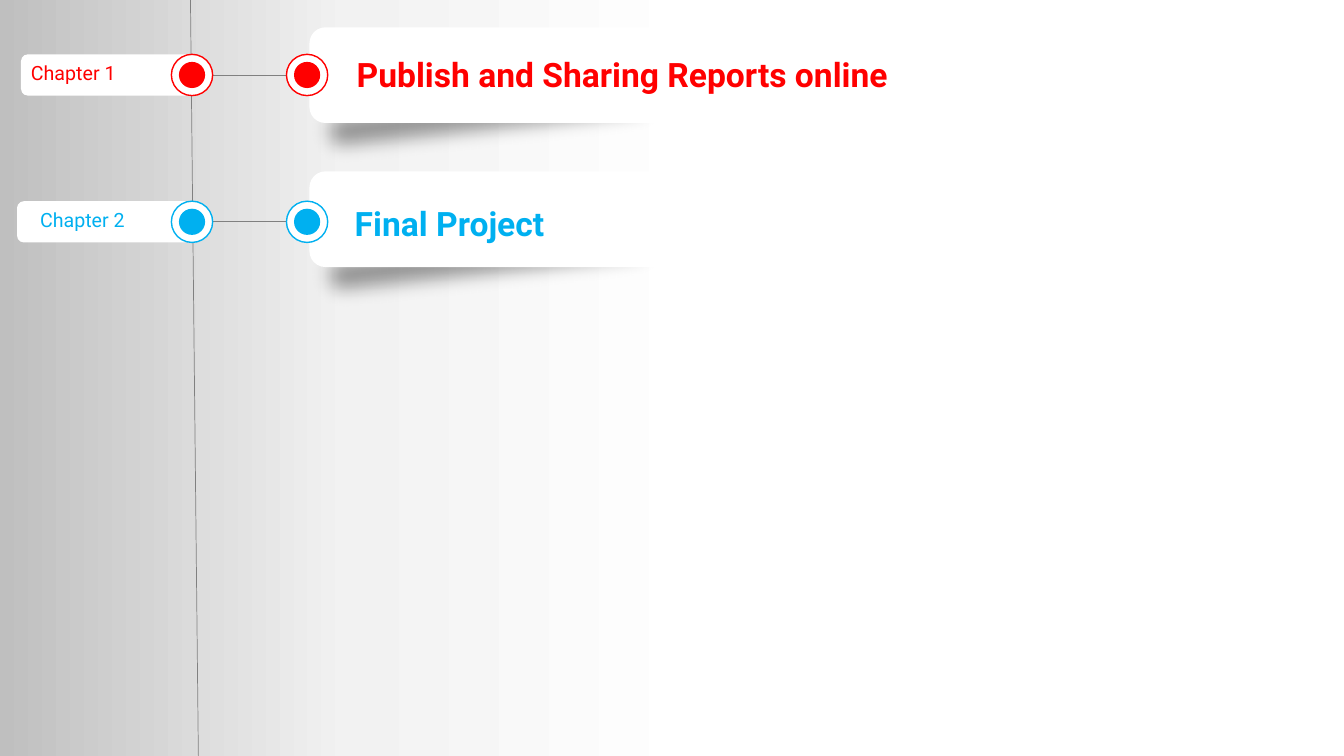
import pptx
import pptx.dml.color
import pptx.enum.shapes
import pptx.enum.text
import pptx.oxml
import pptx.oxml.ns
import pptx.util
from lxml import etree

Cm = pptx.util.Cm
Pt = pptx.util.Pt
RGB = pptx.dml.color.RGBColor.from_string
SHAPE = pptx.enum.shapes.MSO_SHAPE
qn = pptx.oxml.ns.qn

COLORS = {
    "red": "FF0000", "blue": "00B0F0", "white": "FFFFFF",
    "black": "000000", "line": "808080", "pale": "F2F2F2", "gray": "BFBFBF",
}
CHAPTERS = [
    dict(label="Chapter 1", title="Publish and Sharing Reports online", color="red",
         center=1.89, card_top=0.69, label_left=0.53, label_text=(0.53, 3.25),
         title_box=(8.74, 1.24, 15.37)),
    dict(label="Chapter 2", title="Final Project", color="blue",
         center=5.59, card_top=4.32, label_left=0.43, label_text=(0.76, 2.9),
         title_box=(8.69, 5.0, 13.67)),
]
SPINE_X, CARD_X = 4.84, 7.74  # centres of the two columns of dots
RING, DOT = 1.04, 0.66
CARD_LEFT, CARD_HEIGHT = 7.8, 2.41


def add_shape(parent, kind, left, top, width, height, fill, line=None):
    shape = parent.shapes.add_shape(kind, Cm(left), Cm(top), Cm(width), Cm(height))
    shape.shadow.inherit = False
    shape.fill.solid()
    shape.fill.fore_color.rgb = RGB(COLORS[fill])
    if line:
        shape.line.color.rgb = RGB(COLORS[line])
        shape.line.width = Pt(1)
    else:
        shape.line.fill.background()
    return shape


def add_text(parent, text, left, top, width, height, size, color, bold=False):
    box = parent.shapes.add_textbox(Cm(left), Cm(top), Cm(width), Cm(height))
    box.text_frame.word_wrap = True
    box.text_frame.auto_size = pptx.enum.text.MSO_AUTO_SIZE.SHAPE_TO_FIT_TEXT
    paragraph = box.text_frame.paragraphs[0]
    run = paragraph.add_run()
    run.text = text
    run.font.name = "Roboto"
    run.font.size = Pt(size)
    run.font.bold = bold
    run.font.color.rgb = RGB(COLORS[color])


presentation = pptx.Presentation()
presentation.slide_width = Cm(33.87)
presentation.slide_height = Cm(19.05)
slide = presentation.slides.add_slide(presentation.slide_layouts[6])

# Background gradient, gray on the left
background = slide.background.fill
background.gradient()
background.gradient_angle = 180
stops = slide._element.find(".//" + qn("a:gsLst"))
for stop in list(stops):
    stops.remove(stop)
for position, name in [(48, "white"), (74, "pale"), (100, "gray")]:
    stop = etree.SubElement(stops, qn("a:gs"), pos=str(position * 1000))
    etree.SubElement(stop, qn("a:srgbClr"), val=COLORS[name])
slide._element.find(".//" + qn("a:lin")).set("ang", str(180 * 60000))

# Spine and the links between dots
link_start, link_end = SPINE_X + RING / 2, CARD_X - RING / 2
lines = [(4.8, 0, 5.0, 19.15)]
lines += [(link_start, chapter["center"], link_end, chapter["center"]) for chapter in CHAPTERS]
for x1, y1, x2, y2 in lines:
    connector = slide.shapes.add_connector(
        pptx.enum.shapes.MSO_CONNECTOR.STRAIGHT, Cm(x1), Cm(y1), Cm(x2), Cm(y2))
    connector.line.color.rgb = RGB(COLORS["line"])
    connector.line.width = Pt(0.5)
    etree.SubElement(connector._element.spPr, qn("a:effectLst"))

# Soft tilted shadows under labels and cards
for chapter in CHAPTERS:
    for left, top, width, height in [
        (chapter["label_left"] - 0.53, chapter["center"] - 0.21, 4.17, 1.5),
        (CARD_LEFT - 0.38, chapter["card_top"] + 1.01, 9.75, CARD_HEIGHT),
    ]:
        shadow = add_shape(slide, SHAPE.RECTANGLE, left, top, width, height, "black")
        shadow.rotation = 353.8
        properties = shadow._element.spPr
        color = properties.find(qn("a:solidFill")).find(qn("a:srgbClr"))
        etree.SubElement(color, qn("a:alpha"), val="40000")
        effects = properties.find(qn("a:effectLst"))
        etree.SubElement(effects, qn("a:softEdge"), rad=str(Cm(0.6)))

# Title cards and chapter labels, each with its dot
for chapter in CHAPTERS:
    center, color = chapter["center"], chapter["color"]
    card = slide.shapes.add_group_shape()
    label = slide.shapes.add_group_shape()
    add_shape(card, SHAPE.ROUNDED_RECTANGLE, CARD_LEFT, chapter["card_top"],
              12.75, CARD_HEIGHT, "white")
    add_shape(label, SHAPE.ROUNDED_RECTANGLE, chapter["label_left"], center - RING / 2,
              4.39, RING, "white")
    for group, x in [(card, CARD_X), (label, SPINE_X)]:
        for size, fill, line in [(RING, "white", color), (DOT, color, None)]:
            add_shape(group, SHAPE.OVAL, x - size / 2, center - size / 2,
                      size, size, fill, line)
    left, top, width = chapter["title_box"]
    add_text(card, chapter["title"], left, top, width, 1.27, size=24, color=color, bold=True)
    left, width = chapter["label_text"]
    add_text(label, chapter["label"], left, center - 0.47, width, 0.86, size=14, color=color)

presentation.save("out.pptx")
